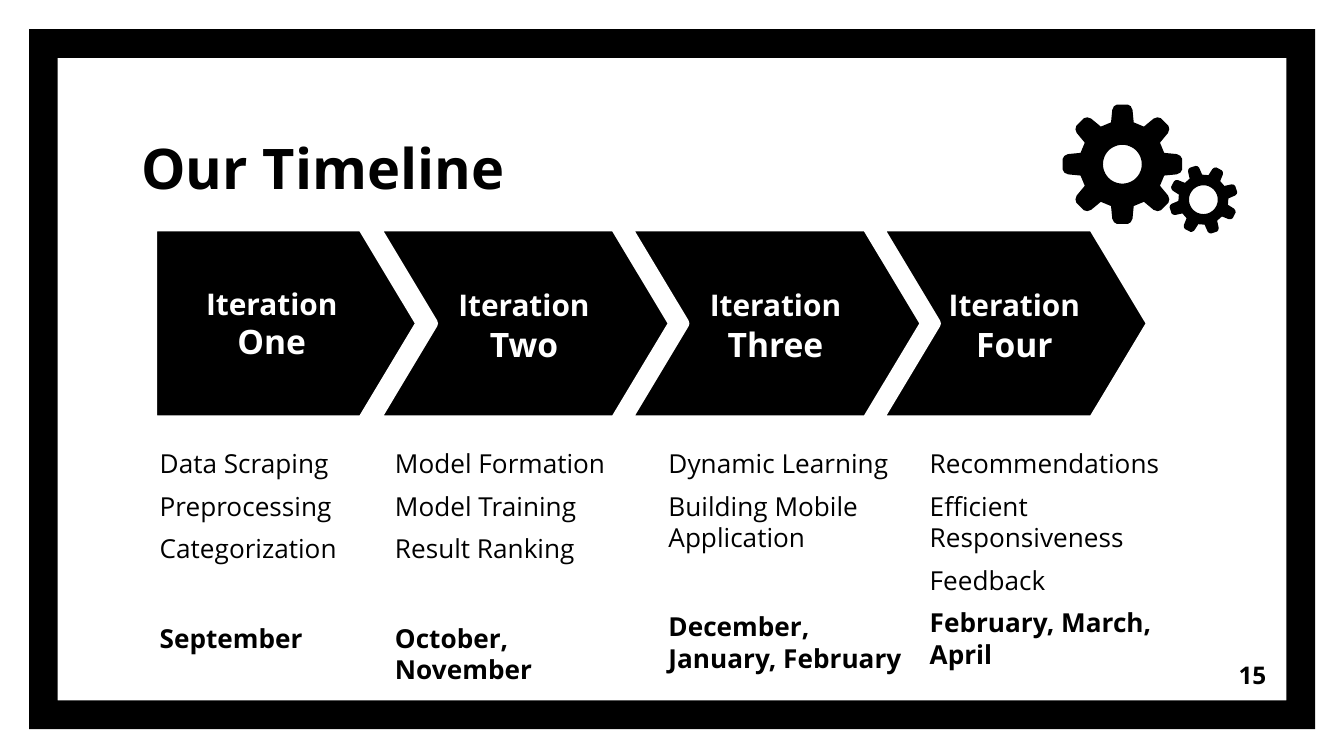
from dataclasses import dataclass
from math import cos, pi, radians, sin

from pptx import Presentation
from pptx.dml.color import RGBColor
from pptx.enum.shapes import MSO_SHAPE
from pptx.enum.text import MSO_ANCHOR, PP_ALIGN
from pptx.shapes.base import BaseShape
from pptx.shapes.shapetree import GroupShapes, SlideShapes
from pptx.text.text import TextFrame, _Paragraph
from pptx.util import Pt

BLACK = RGBColor(0x00, 0x00, 0x00)
WHITE = RGBColor(0xFF, 0xFF, 0xFF)
FONT = "Open Sans"
INSET = 7.2

ARROW_TOP, ARROW_HEIGHT = 121, 104.5
TASKS_TOP, TASKS_HEIGHT = 232.5, 126
ITEM_GAP = 6
MONTHS_GAP = 31

TEETH = 8
HOLE_STEPS = 48
# One tooth side from root to tip: (along the radius, half width) per unit of radius.
TOOTH_SIDE = [(0.7, 0.19), (0.91, 0.17), (0.97, 0.14), (1, 0.09)]


@dataclass(frozen=True)
class Iteration:
    number: str
    arrow_left: float
    arrow_width: float
    tasks_left: float
    tasks_width: float
    tasks: list[str]
    months: str
    months_gap: float = MONTHS_GAP


@dataclass(frozen=True)
class Gear:
    center_x: float
    center_y: float
    radius: float
    hole_radius: float
    turn: float


ITERATIONS = [
    Iteration("One", 81.2, 144.5, 78.5, 116,
              ["Data Scraping", "Preprocessing", "Categorization"], "September"),
    Iteration("Two", 200.3, 160.8, 204.5, 151,
              ["Model Formation", "Model Training", "Result Ranking"],
              "October, November"),
    Iteration("Three", 335, 161, 351, 145,
              ["Dynamic Learning", "Building Mobile Application"],
              "December, January, February"),
    Iteration("Four", 469.7, 147.5, 491, 151,
              ["Recommendations", "Efficient Responsiveness", "Feedback"],
              "February, March, April", ITEM_GAP),
]
GEARS = [
    Gear(601.3, 88, 32, 10.4, 0),
    Gear(644.7, 107, 18.5, 7.7, 27),
]


def paint_black(shape: BaseShape) -> None:
    shape.shadow.inherit = False
    shape.fill.solid()
    shape.fill.fore_color.rgb = BLACK
    shape.line.fill.background()


def set_up_frame(frame: TextFrame, anchor: MSO_ANCHOR) -> None:
    frame.word_wrap = True
    frame.vertical_anchor = anchor
    frame.margin_left = frame.margin_right = Pt(INSET)
    frame.margin_top = frame.margin_bottom = Pt(INSET)


def add_text(paragraph: _Paragraph, text: str, size: float,
             bold: bool = True, color: RGBColor = BLACK) -> None:
    run = paragraph.add_run()
    run.text = text
    run.font.name = FONT
    run.font.size = Pt(size)
    run.font.bold = bold
    run.font.color.rgb = color


def add_text_box(shapes: SlideShapes, left: float, top: float, width: float,
                 height: float, anchor: MSO_ANCHOR) -> TextFrame:
    box = shapes.add_textbox(Pt(left), Pt(top), Pt(width), Pt(height))
    set_up_frame(box.text_frame, anchor)
    return box.text_frame


def add_border(shapes: SlideShapes) -> None:
    border = shapes.add_shape(MSO_SHAPE.FRAME, Pt(15.6), Pt(15.6), Pt(689), Pt(375))
    border.adjustments[0] = 0.041
    paint_black(border)


def add_gear(shapes: GroupShapes, gear: Gear) -> None:
    """Draw a toothed outline with a round hole."""
    def point(along: float, across: float, angle: float) -> tuple[int, int]:
        return (Pt(gear.center_x + along * cos(angle) - across * sin(angle)),
                Pt(gear.center_y + along * sin(angle) + across * cos(angle)))

    tooth = ([(along, -half) for along, half in TOOTH_SIDE]
             + [(along, half) for along, half in reversed(TOOTH_SIDE)])
    outline = [point(along * gear.radius, across * gear.radius,
                     radians(gear.turn) + 2 * pi * index / TEETH)
               for index in range(TEETH) for along, across in tooth]
    hole = [point(gear.hole_radius, 0, -2 * pi * step / HOLE_STEPS)
            for step in range(HOLE_STEPS)]

    builder = shapes.build_freeform(*outline[0], scale=1.0)
    builder.add_line_segments(outline[1:], close=True)
    builder.move_to(*hole[0])
    builder.add_line_segments(hole[1:], close=True)
    paint_black(builder.convert_to_shape())


def add_arrow(shapes: SlideShapes, iteration: Iteration, is_first: bool) -> None:
    kind = MSO_SHAPE.PENTAGON if is_first else MSO_SHAPE.CHEVRON
    arrow = shapes.add_shape(kind, Pt(iteration.arrow_left), Pt(ARROW_TOP),
                             Pt(iteration.arrow_width), Pt(ARROW_HEIGHT))
    arrow.adjustments[0] = 0.3
    paint_black(arrow)
    arrow.line.color.rgb = WHITE
    arrow.line.width = Pt(6)

    frame = arrow.text_frame
    set_up_frame(frame, MSO_ANCHOR.MIDDLE)
    label = frame.paragraphs[0]
    label.alignment = PP_ALIGN.CENTER
    add_text(label, "Iteration", 16, color=WHITE)
    if is_first:
        label = frame.add_paragraph()
        label.alignment = PP_ALIGN.CENTER
        add_text(label, iteration.number, 18, color=WHITE)
    else:
        add_text(label, f" {iteration.number}", 18, color=WHITE)


def add_tasks(shapes: SlideShapes, iteration: Iteration) -> None:
    """List the tasks of an iteration with its months below."""
    frame = add_text_box(shapes, iteration.tasks_left, TASKS_TOP,
                         iteration.tasks_width, TASKS_HEIGHT, MSO_ANCHOR.TOP)
    for index, task in enumerate(iteration.tasks):
        paragraph = frame.add_paragraph() if index else frame.paragraphs[0]
        paragraph.space_before = Pt(ITEM_GAP)
        add_text(paragraph, task, 14, bold=False)
    months = frame.add_paragraph()
    months.space_before = Pt(iteration.months_gap)
    add_text(months, iteration.months, 14)


def main() -> None:
    presentation = Presentation()
    presentation.slide_width = Pt(720)
    presentation.slide_height = Pt(405)
    shapes = presentation.slides.add_slide(presentation.slide_layouts[6]).shapes

    add_border(shapes)
    title = add_text_box(shapes, 68.7, 67, 401, 47.5, MSO_ANCHOR.BOTTOM)
    add_text(title.paragraphs[0], "Our Timeline", 30)

    gear_group = shapes.add_group_shape()
    for gear in GEARS:
        add_gear(gear_group.shapes, gear)

    for index, iteration in enumerate(ITERATIONS):
        add_arrow(shapes, iteration, is_first=index == 0)
        add_tasks(shapes, iteration)

    page_number = add_text_box(shapes, 642.2, 345.8, 43.2, 31, MSO_ANCHOR.MIDDLE)
    page_number.paragraphs[0].alignment = PP_ALIGN.RIGHT
    add_text(page_number.paragraphs[0], "15", 13)

    presentation.save("out.pptx")


if __name__ == "__main__":
    main()
